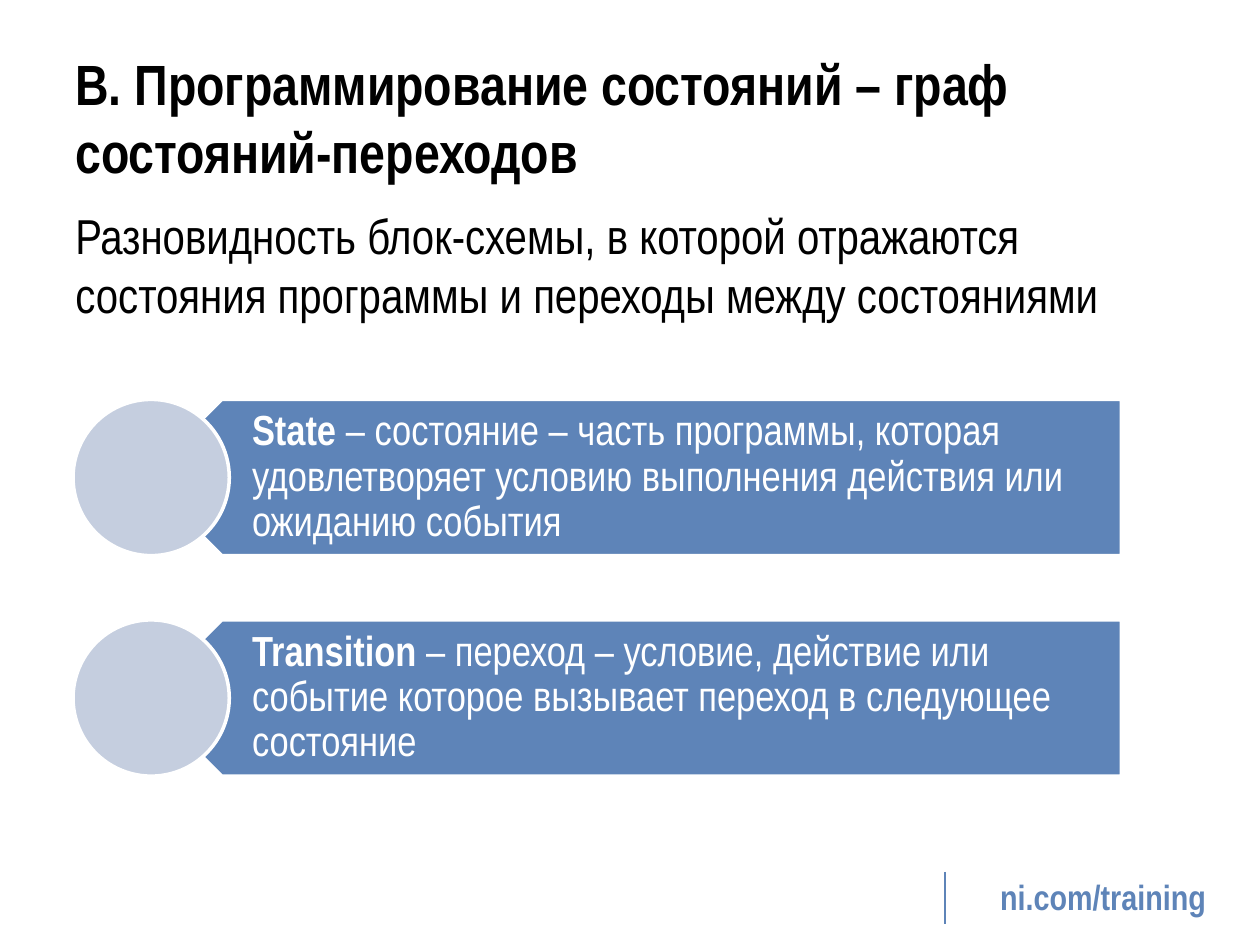
from pptx import Presentation
from pptx.dml.color import RGBColor
from pptx.enum.shapes import MSO_CONNECTOR as Connector, MSO_SHAPE as Preset
from pptx.enum.text import MSO_ANCHOR as Anchor, PP_ALIGN as Align
from pptx.util import Inches, Pt
from lxml.etree import SubElement
from pptx.oxml.ns import qn

BLUE, PALE, WHITE, BLACK = "5E84B8", "C5CEDF", "FFFFFF", "000000"


def color(value):
    return RGBColor.from_string(value)


def add_text(page, area, runs, size, ink, anchor=Anchor.TOP, margins=(0.1, 0.05, 0.1, 0.05)):
    box = page.shapes.add_textbox(*[Inches(n) for n in area])
    frame = box.text_frame
    frame.word_wrap = True
    frame.vertical_anchor = anchor
    frame.margin_left, frame.margin_top, frame.margin_right, frame.margin_bottom = [Inches(n) for n in margins]
    para = frame.paragraphs[0]
    for text, bold in runs:
        span = para.add_run()
        span.text = text
        span.font.name = "Arial Narrow"
        span.font.size = Pt(size)
        span.font.bold = bold
        span.font.color.rgb = color(ink)
    return para


deck = Presentation()
deck.slide_width, deck.slide_height = Inches(10), Inches(7.5)
page = deck.slides.add_slide(deck.slide_layouts[6])

footer = add_text(page, (7.67, 6.9, 2.17, 0.44), [("ni.com/training", True)], 20, BLUE)
footer.alignment = Align.CENTER
divider = page.shapes.add_connector(Connector.STRAIGHT, Inches(7.5), Inches(6.92), Inches(7.5), Inches(7.33))
divider.line.color.rgb = color(BLUE)
divider.line.width = Pt(1.5)
SubElement(divider._element.spPr, qn("a:effectLst"))

add_text(page, (0.5, 0.3, 9, 1.25), [("B. Программирование состояний – граф состояний-переходов", True)],
         32.4, BLACK, Anchor.MIDDLE)
add_text(page, (0.5, 1.58, 9, 4.75),
         [("Разновидность блок-схемы, в которой отражаются состояния программы и переходы между состояниями", False)],
         28, BLACK)

terms = [
    ("State", " – состояние – часть программы, которая удовлетворяет условию выполнения действия или ожиданию события"),
    ("Transition", " – переход – условие, действие или событие которое вызывает переход в следующее состояние"),
]
first_row, row_pitch, height = 3.17, 1.75, 1.24
for row, (term, meaning) in enumerate(terms):
    top = first_row + row * row_pitch
    for preset, left, width, fill, angle in [
        (Preset.PENTAGON, 1.14, 7.76, BLUE, 180),
        (Preset.OVAL, 0.58, height, PALE, 0),
    ]:
        shape = page.shapes.add_shape(preset, Inches(left), Inches(top), Inches(width), Inches(height))
        shape.rotation = angle
        shape.shadow.inherit = False
        shape.fill.solid()
        shape.fill.fore_color.rgb = color(fill)
        shape.line.color.rgb = color(WHITE)
        shape.line.width = Pt(2)
    para = add_text(page, (1.45, top, 7.45, height), [(term, True), (meaning, False)], 24, WHITE,
                    Anchor.MIDDLE, (0.55, 0.1, 0.19, 0.1))
    para.line_spacing = 0.9

deck.save("out.pptx")
